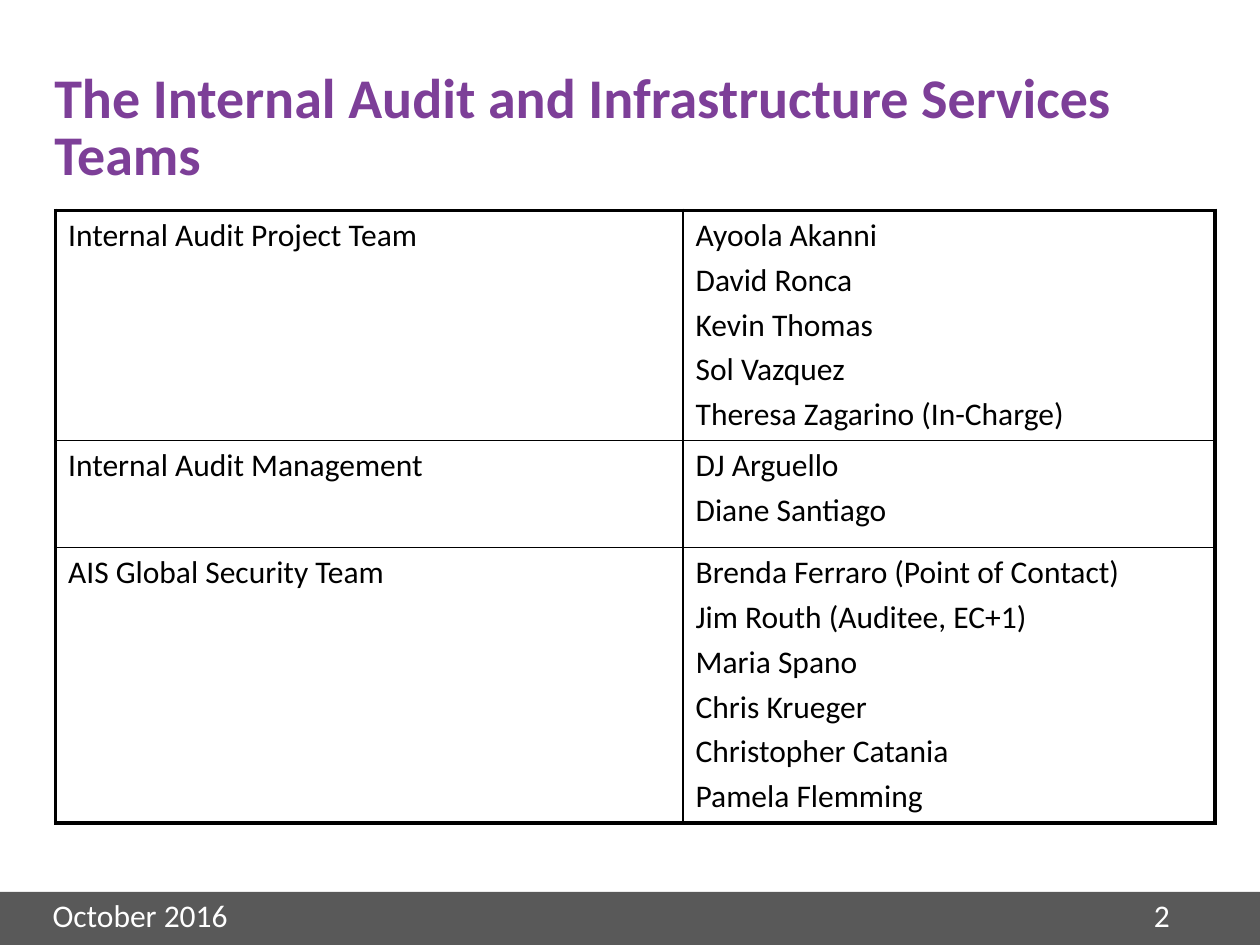
"""Build the slide listing the audit and infrastructure services teams."""
from lxml.etree import SubElement
from pptx import Presentation
from pptx.dml.color import RGBColor
from pptx.enum.shapes import MSO_SHAPE
from pptx.enum.text import MSO_ANCHOR, MSO_AUTO_SIZE, PP_ALIGN
from pptx.oxml.ns import qn
from pptx.util import Cm, Pt

PURPLE = RGBColor(0x7D, 0x3F, 0x98)
BLACK = RGBColor(0, 0, 0)
WHITE = RGBColor(0xFF, 0xFF, 0xFF)
GREY = RGBColor(0x59, 0x59, 0x59)
THICK, THIN = Pt(2.25), Pt(1)


def write(frame, lines, size=18, color=BLACK, bold=False, spacing=None, before=0):
    frame.word_wrap = True
    frame.auto_size = MSO_AUTO_SIZE.NONE
    frame.text = "\n".join(lines)
    for paragraph in frame.paragraphs:
        paragraph.alignment = PP_ALIGN.LEFT
        paragraph.line_spacing = spacing
        paragraph.space_before = Pt(before)
        font = paragraph.runs[0].font
        font.name, font.size, font.bold = "Calibri", Pt(size), bold
        font.color.rgb = color


def draw_borders(cell, widths):
    properties = cell._tc.get_or_add_tcPr()
    for position, (side, width) in enumerate(widths.items()):
        line = SubElement(properties, qn(f"a:{side}"), w=str(width))
        fill = SubElement(line, qn("a:solidFill"))
        SubElement(fill, qn("a:srgbClr"), val=str(BLACK))
        properties.insert(position, line)


deck = Presentation()
deck.slide_width, deck.slide_height = Cm(25.4), Cm(19.05)
slide = deck.slides.add_slide(deck.slide_layouts[5])

title = slide.shapes.title
title.left, title.top, title.width, title.height = Cm(0.84), Cm(1.42), Cm(23.37), Cm(2.39)
write(title.text_frame, ["The Internal Audit and Infrastructure Services Teams"],
      size=32, color=PURPLE, bold=True, spacing=0.85)
title.text_frame.vertical_anchor = MSO_ANCHOR.MIDDLE

teams = [
    ("Internal Audit Project Team", Cm(4.63),
     ["Ayoola Akanni", "David Ronca", "Kevin Thomas", "Sol Vazquez",
      "Theresa Zagarino (In-Charge)"]),
    ("Internal Audit Management", Cm(2.16), ["DJ Arguello", "Diane Santiago"]),
    ("AIS Global Security Team", Cm(5.55),
     ["Brenda Ferraro (Point of Contact)", "Jim Routh (Auditee, EC+1)", "Maria Spano",
      "Chris Krueger", "Christopher Catania", "Pamela Flemming"]),
]
roster = slide.shapes.add_table(len(teams), 2, Cm(1.12), Cm(4.24), Cm(23.37), Cm(12.34)).table
roster.first_row = roster.horz_banding = False
roster.columns[0].width, roster.columns[1].width = Cm(12.65), Cm(10.72)

last = len(teams) - 1
for row, (team, height, members) in enumerate(teams):
    roster.rows[row].height = height
    for column, lines in enumerate(([team], members)):
        cell = roster.cell(row, column)
        cell.fill.background()
        write(cell.text_frame, lines, before=3.6)
        draw_borders(cell, {
            "lnL": THICK if column == 0 else THIN,
            "lnR": THICK if column == 1 else THIN,
            "lnT": THICK if row == 0 else THIN,
            "lnB": THICK if row == last else THIN,
        })

footer = slide.shapes.add_shape(MSO_SHAPE.RECTANGLE, 0, Cm(17.98), deck.slide_width, Cm(1.07))
footer.shadow.inherit = False
footer.fill.solid()
footer.fill.fore_color.rgb = GREY
footer.line.fill.background()

for label, left, width, height in [
    ("2", Cm(23.01), Cm(1.47), Cm(1.32)),
    ("October 2016", Cm(0.81), Cm(19.48), Cm(1.02)),
]:
    note = slide.shapes.add_textbox(left, Cm(17.93), width, height)
    write(note.text_frame, [label], color=WHITE)

deck.save("out.pptx")
